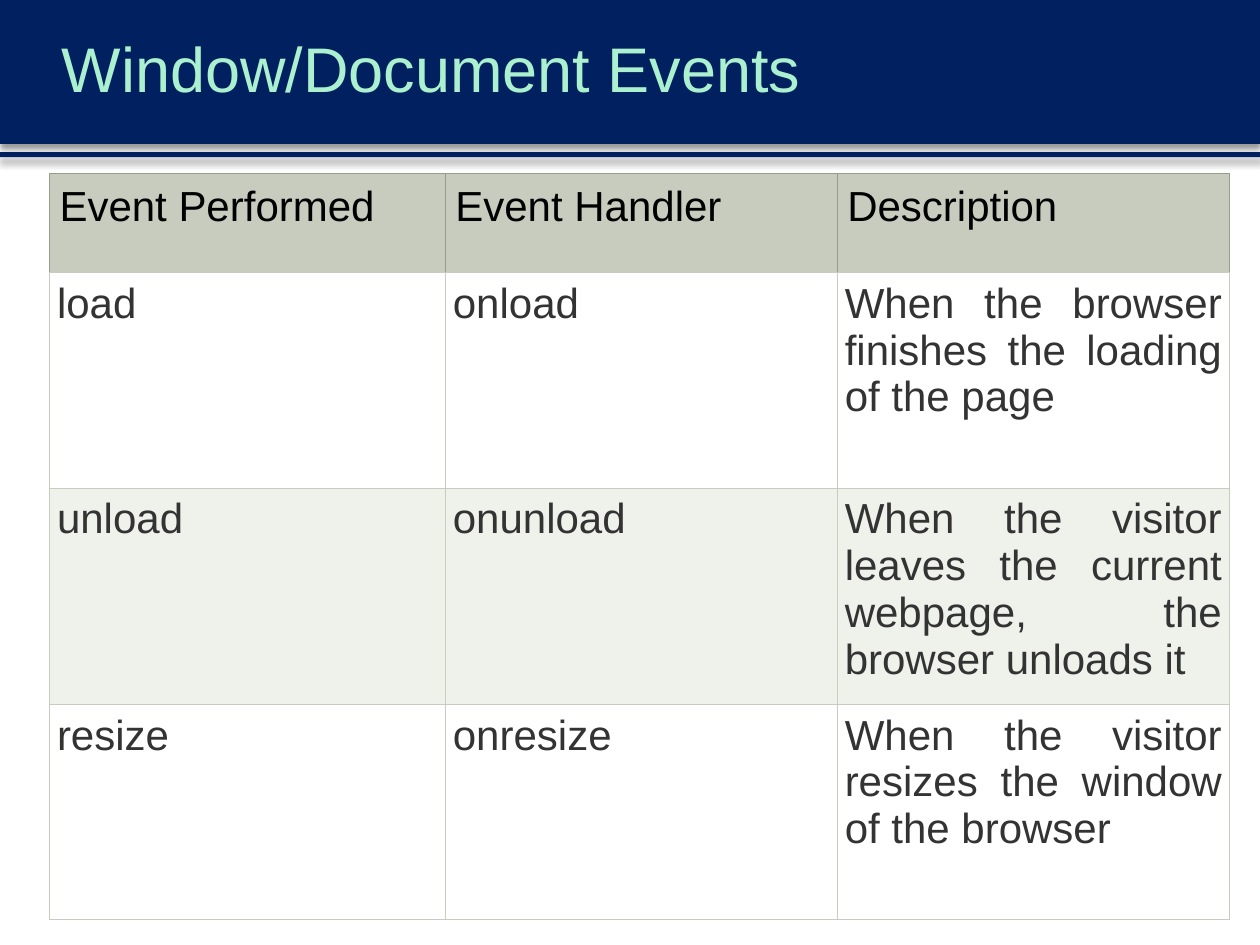
from lxml.etree import SubElement
from pptx import Presentation
from pptx.dml.color import RGBColor
from pptx.enum.shapes import MSO_SHAPE
from pptx.enum.text import MSO_ANCHOR, PP_ALIGN
from pptx.oxml import parse_xml
from pptx.oxml.ns import nsdecls, qn
from pptx.util import Cm, Pt

COLORS = {
    "navy": "002060",
    "mint": "ABF1CF",
    "black": "000000",
    "body": "333333",
    "sage": "C7CCBE",
    "header_border": "979C8C",
    "white": "FFFFFF",
    "band": "EFF1EB",
}
FONT = "Arial"
HEADERS = ["Event Performed", "Event Handler", "Description"]
EVENTS = [
    ["load", "onload", "When the browser finishes the loading of the page"],
    ["unload", "onunload",
     "When the visitor leaves the current webpage, the browser unloads it"],
    ["resize", "onresize", "When the visitor resizes the window of the browser"],
]


def color(name):
    return RGBColor.from_string(COLORS[name])


def style_font(paragraph, size, color_name):
    paragraph.font.name = FONT
    paragraph.font.size = Pt(size)
    paragraph.font.color.rgb = color(color_name)


def add_bar(slide, top, height):
    shape = slide.shapes.add_shape(MSO_SHAPE.RECTANGLE, 0, top, Cm(25.4), height)
    shape.fill.solid()
    shape.fill.fore_color.rgb = color("navy")
    shape.line.fill.background()
    shape._element.spPr.append(parse_xml(
        f'<a:effectLst {nsdecls("a")}>'
        f'<a:outerShdw blurRad="{Pt(4)}" dist="{Pt(3)}" dir="5400000" rotWithShape="0">'
        f'<a:srgbClr val="{COLORS["black"]}"><a:alpha val="40000"/></a:srgbClr>'
        '</a:outerShdw></a:effectLst>'))


def add_title(slide, text):
    shape = slide.shapes.add_textbox(Cm(1), 0, Cm(23.77), Cm(2.9))
    frame = shape.text_frame
    frame.word_wrap = True
    frame.vertical_anchor = MSO_ANCHOR.MIDDLE
    paragraph = frame.paragraphs[0]
    paragraph.text = text
    paragraph.line_spacing = 0.9
    style_font(paragraph, 36, "mint")


def set_borders(cell, side_color, bottom_color):
    properties = cell._tc.get_or_add_tcPr()
    sides = {"a:lnL": side_color, "a:lnR": side_color,
             "a:lnT": side_color, "a:lnB": bottom_color}
    for position, (tag, name) in enumerate(sides.items()):
        line = SubElement(properties, qn(tag), w=str(Pt(0.75)))
        fill = SubElement(line, qn("a:solidFill"))
        SubElement(fill, qn("a:srgbClr"), val=COLORS[name])
        properties.insert(position, line)


def fill_cell(cell, text, is_header, fill_name):
    cell.fill.solid()
    cell.fill.fore_color.rgb = color(fill_name)
    set_borders(cell, "header_border" if is_header else "sage", "sage")
    margin = Cm(0.2 if is_header else 0.15)
    cell.margin_left = cell.margin_right = margin
    cell.margin_top = cell.margin_bottom = margin
    paragraph = cell.text_frame.paragraphs[0]
    paragraph.text = text
    paragraph.alignment = PP_ALIGN.LEFT if is_header else PP_ALIGN.JUSTIFY
    style_font(paragraph, 24, "black" if is_header else "body")


def add_event_table(slide):
    rows = [HEADERS] + EVENTS
    widths = [Cm(7.98), Cm(7.9), Cm(7.9)]
    heights = [Cm(2.01)] + [Cm(4.34)] * len(EVENTS)
    table = slide.shapes.add_table(
        len(rows), len(widths), Cm(1), Cm(3.49), sum(widths), sum(heights)).table
    for column, width in zip(table.columns, widths):
        column.width = width
    for row_index, texts in enumerate(rows):
        table.rows[row_index].height = heights[row_index]
        is_header = row_index == 0
        fill_name = "sage" if is_header else ("band", "white")[row_index % 2]
        for column_index, text in enumerate(texts):
            fill_cell(table.cell(row_index, column_index), text, is_header, fill_name)


def main():
    presentation = Presentation()
    presentation.slide_width = Cm(25.4)
    presentation.slide_height = Cm(19.05)
    slide = presentation.slides.add_slide(presentation.slide_layouts[6])
    add_bar(slide, 0, Cm(2.9))
    add_bar(slide, Cm(3.07), Cm(0.1))
    add_title(slide, "Window/Document Events")
    add_event_table(slide)
    presentation.save("out.pptx")


if __name__ == "__main__":
    main()
